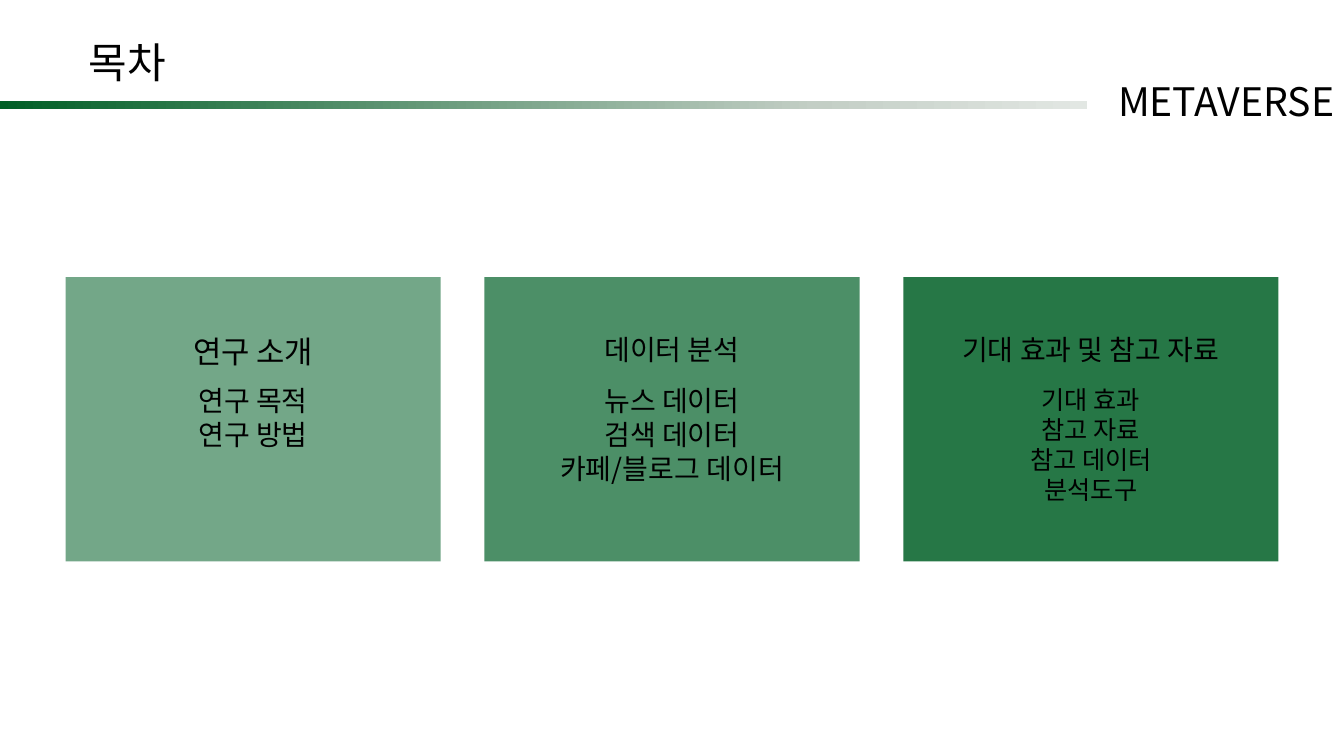
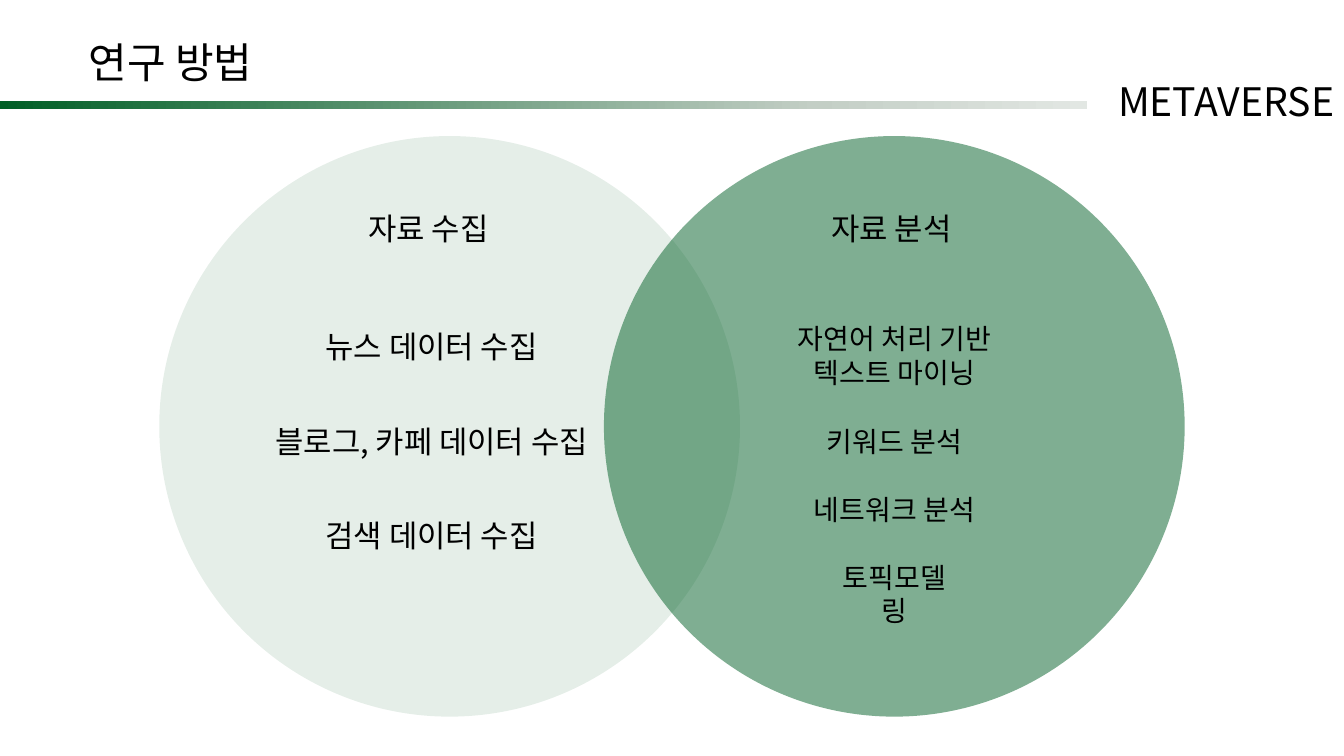
from lxml import etree
from pptx import Presentation
from pptx import util as u
from pptx.dml.color import RGBColor
from pptx.enum import shapes, text
from pptx.oxml import ns

FONT = "Noto Sans CJK KR"
BLACK = "000000"
GREEN = "005F26"
RULE_STOPS = [(0, GREEN), (75, "C3CEC5"), (100, "E2E7E3")]
RECTANGLE = shapes.MSO_SHAPE.RECTANGLE
OVAL = shapes.MSO_SHAPE.OVAL
LEFT, CENTER, RIGHT = text.PP_ALIGN.LEFT, text.PP_ALIGN.CENTER, text.PP_ALIGN.RIGHT


def color(value):
    return RGBColor.from_string(value)


def add_element(parent, tag, **attributes):
    return etree.SubElement(parent, ns.qn(tag), attributes)


class Board:
    def __init__(self):
        self.deck = Presentation()
        self.deck.slide_width = u.Inches(13.33)
        self.deck.slide_height = u.Inches(7.5)
        self.page = None

    def add_page(self, title, title_width):
        self.page = self.deck.slides.add_slide(self.deck.slide_layouts[6])
        rule = self.shape(RECTANGLE, 0, 1, 10.78, 0.08, GREEN)
        self.gradient(rule, RULE_STOPS)
        self.text(0.78, 0.31, title_width, [title], 30)
        self.text(10.77, 0.72, 2.56, ["METAVERSE"], 28, RIGHT, wrap=True)

    def shape(self, preset, left, top, width, height, fill, opacity=100):
        box = self.page.shapes.add_shape(
            preset, u.Inches(left), u.Inches(top), u.Inches(width), u.Inches(height))
        box.shadow.inherit = False
        box.line.fill.background()
        box.fill.solid()
        box.fill.fore_color.rgb = color(fill)
        if opacity < 100:
            tint = box.fill._xPr.find(ns.qn("a:solidFill"))[0]
            add_element(tint, "a:alpha", val=str(opacity * 1000))
        return box

    def gradient(self, box, stops):
        box.fill.gradient()
        box.fill.gradient_angle = 0
        stop_list = box.fill._xPr.find(ns.qn("a:gradFill")).find(ns.qn("a:gsLst"))
        for stop in list(stop_list):
            stop_list.remove(stop)
        for position, value in stops:
            stop = add_element(stop_list, "a:gs", pos=str(position * 1000))
            add_element(stop, "a:srgbClr", val=value)

    def text(self, left, top, width, lines, size, align=LEFT, wrap=False):
        height = 0.1 + len(lines) * size / 60
        box = self.page.shapes.add_textbox(
            u.Inches(left), u.Inches(top), u.Inches(width), u.Inches(height))
        frame = box.text_frame
        frame.word_wrap = wrap
        frame.auto_size = text.MSO_AUTO_SIZE.SHAPE_TO_FIT_TEXT
        for index, line in enumerate(lines):
            para = frame.add_paragraph() if index else frame.paragraphs[0]
            para.alignment = align
            span = para.add_run()
            span.text = line
            span.font.size = u.Pt(size)
            span.font.name = FONT
            span.font.color.rgb = color(BLACK)
            add_element(span.font._element, "a:ea", typeface=FONT)

    def label(self, center, top, width, lines, size, wrap=False):
        self.text(center - width / 2, top, width, lines, size, CENTER, wrap)


def build_contents(board):
    board.add_page("목차", 1.1)
    card_width = 3.72
    first_left, last_left = 0.65, 8.96
    cards = [
        ("73A788", "연구 소개", 22, 1.42, ["연구 목적", "연구 방법"], 20, 1.32, False),
        ("4C8F67", "데이터 분석", 20, 1.57,
         ["뉴스 데이터", "검색 데이터", "카페/블로그 데이터"], 20, 2.44, True),
        ("267746", "기대 효과 및 참고 자료", 20, 2.95,
         ["기대 효과", "참고 자료", "참고 데이터", "분석도구"], 18, 1.55, False),
    ]
    step = (last_left - first_left) / (len(cards) - 1)
    for index, card in enumerate(cards):
        fill, heading, heading_size, heading_width, items, size, width, wrap = card
        left = first_left + index * step
        center = left + card_width / 2
        board.shape(RECTANGLE, left, 2.75, card_width, 2.82, fill)
        board.label(center, 3.25, heading_width, [heading], heading_size)
        board.label(center, 3.76, width, items, size, wrap)


def build_methods(board):
    board.add_page("연구 방법", 1.87)
    diameter = 5.76
    for left, opacity in [(1.58, 10), (5.99, 50)]:
        board.shape(OVAL, left, 1.35, diameter, diameter, GREEN, opacity)

    collect_center, analysis_center = 4.28, 8.87
    board.label(4.25, 2.03, 1.42, ["자료 수집"], 22)
    collect_items = [
        ("뉴스 데이터 수집", 2.36, False),
        ("블로그, 카페 데이터 수집", 3.38, True),
        ("검색 데이터 수집", 2.38, False),
    ]
    for index, (item, width, wrap) in enumerate(collect_items):
        board.label(collect_center, 3.2 + 0.94 * index, width, [item], 22, wrap)

    board.label(8.84, 2.03, 1.42, ["자료 분석"], 22)
    board.label(analysis_center, 3.14, 2.19, ["자연어 처리 기반", "텍스트 마이닝"], 20)
    analysis_items = [
        ("키워드 분석", 1.56, False),
        ("네트워크 분석", 1.81, False),
        ("토픽모델링", 1.4, True),
    ]
    for index, (item, width, wrap) in enumerate(analysis_items):
        board.label(analysis_center, 4.16 + 0.675 * index, width, [item], 20, wrap)


def main():
    board = Board()
    build_contents(board)
    build_methods(board)
    board.deck.save("out.pptx")


if __name__ == "__main__":
    main()
